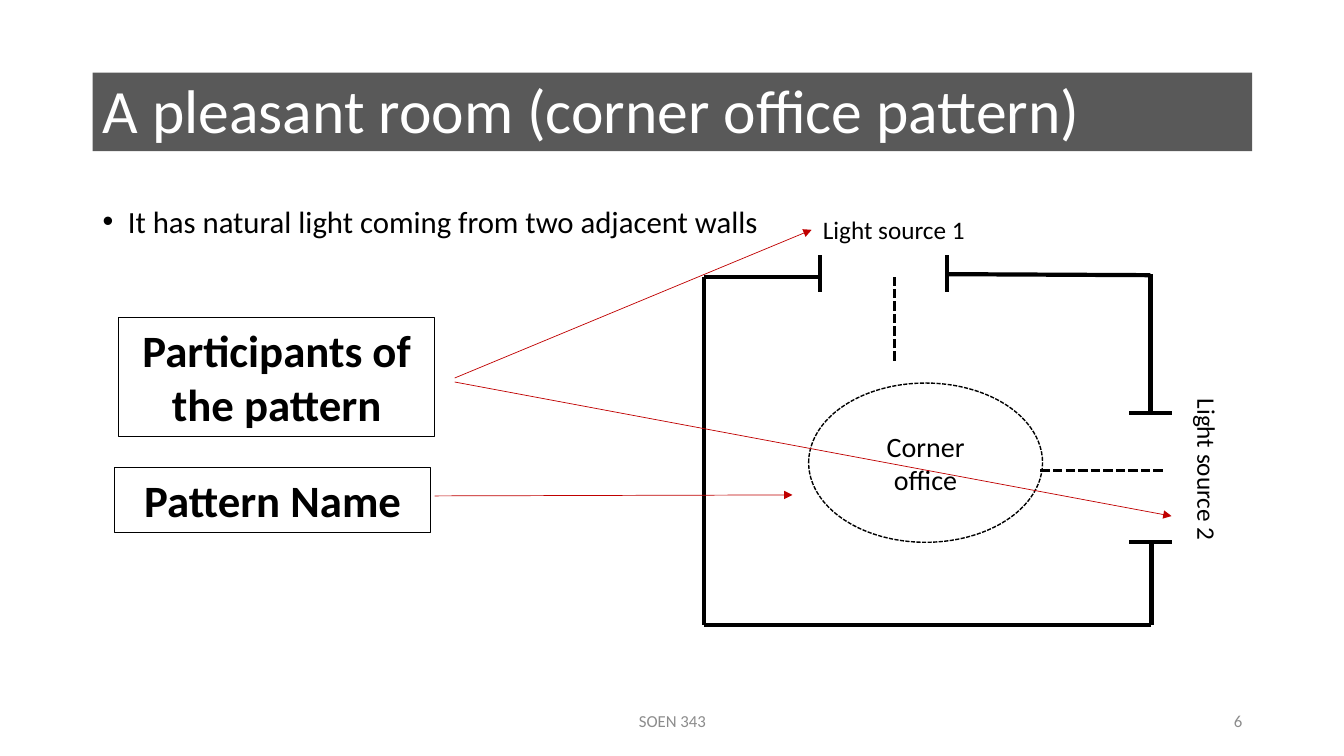
import dataclasses

import pptx
import pptx.dml.color
import pptx.enum.dml
import pptx.enum.shapes
import pptx.enum.text
import pptx.oxml
import pptx.oxml.ns
import pptx.util

SHAPE = pptx.enum.shapes.MSO_SHAPE
ALIGN = pptx.enum.text.PP_ALIGN
ANCHOR = pptx.enum.text.MSO_ANCHOR


@dataclasses.dataclass(frozen=True)
class Theme:
    font: str = "Calibri"
    ink: str = "000000"
    paper: str = "FFFFFF"
    muted: str = "8C8C8C"
    accent: str = "C00000"
    title: int = 44
    callout: int = 32
    body: int = 22
    room: int = 20
    label: int = 18
    footer: int = 12


def px(n):
    return pptx.util.Emu(n * 9144)


def rgb(value):
    return pptx.dml.color.RGBColor.from_string(value)


def add_xml(parent, tag, **attrs):
    el = pptx.oxml.parse_xml(f"<a:{tag} {pptx.oxml.ns.nsdecls('a')}/>")
    for name, value in attrs.items():
        el.set(name, str(value))
    parent.append(el)
    return el


def write(tf, text, theme, size, color=None, bold=False, align=ALIGN.LEFT,
          anchor=ANCHOR.TOP, wrap=True, spacing=None, bullet=None):
    tf.word_wrap = wrap
    tf.vertical_anchor = anchor
    p = tf.paragraphs[0]
    p.alignment = align
    if spacing:
        p.line_spacing = spacing
    if bullet:
        p.space_before = pptx.util.Pt(10)
        pPr = p._p.get_or_add_pPr()
        pPr.set("marL", str(px(25)))
        pPr.set("indent", str(px(-25)))
        add_xml(pPr, "buFont", typeface="Arial")
        add_xml(pPr, "buChar", char=bullet)
    r = p.add_run()
    r.text = text
    r.font.name = theme.font
    r.font.size = pptx.util.Pt(size)
    r.font.bold = bold
    r.font.color.rgb = rgb(color or theme.ink)


class Deck:
    def __init__(self, theme, width, height):
        self.theme = theme
        self.prs = pptx.Presentation()
        self.prs.slide_width = px(width)
        self.prs.slide_height = px(height)
        self.s = self.prs.slides.add_slide(self.prs.slide_layouts[6])

    def text(self, box, text, size, rotation=0, **fmt):
        sp = self.s.shapes.add_textbox(*map(px, box))
        sp.rotation = rotation
        write(sp.text_frame, text, self.theme, size, **fmt)

    def shape(self, kind, box, fill=None, alpha=None, line=None, dash=None):
        sp = self.s.shapes.add_shape(kind, *map(px, box))
        sp.shadow.inherit = False
        if fill:
            sp.fill.solid()
            sp.fill.fore_color.rgb = rgb(fill)
            if alpha:
                clr = sp.fill._xPr.find(".//" + pptx.oxml.ns.qn("a:srgbClr"))
                add_xml(clr, "alpha", val=alpha * 1000)
        else:
            sp.fill.background()
        if line:
            self.stroke(sp.line, self.theme.ink, line, dash)
        else:
            sp.line.fill.background()
        return sp

    def labelled(self, kind, box, text, size, line, dash=None, **fmt):
        sp = self.shape(kind, box, line=line, dash=dash)
        write(sp.text_frame, text, self.theme, size, align=ALIGN.CENTER, **fmt)

    def stroke(self, line, color, width, dash=None):
        line.color.rgb = rgb(color)
        line.width = pptx.util.Pt(width)
        if dash:
            line.dash_style = dash

    def line(self, ends, color, width, dash=None, arrow=False):
        cx = self.s.shapes.add_connector(
            pptx.enum.shapes.MSO_CONNECTOR.STRAIGHT, *map(px, ends))
        self.stroke(cx.line, color, width, dash)
        if arrow:
            add_xml(cx.line._get_or_add_ln(), "tailEnd", type="triangle")
        add_xml(cx._element.spPr, "effectLst")


def main():
    theme = Theme()
    deck = Deck(theme, 1333, 750)
    dash = pptx.enum.dml.MSO_LINE.SQUARE_DOT

    deck.shape(SHAPE.RECTANGLE, (92, 72, 1150, 78), fill=theme.ink, alpha=65)
    deck.text((92, 40, 1150, 145), "A pleasant room (corner office pattern)",
              theme.title, color=theme.paper, anchor=ANCHOR.MIDDLE, spacing=0.9)
    deck.text((92, 200, 1150, 476),
              "It has natural light coming from two adjacent walls",
              theme.body, spacing=0.9, bullet="•")

    left, right, top, bottom = 698, 1142, 275, 620
    walls = [
        (left, bottom, right, bottom),
        (left, top, left, bottom),
        (left, top, 813, top),
        (939, 272, 1141, 273),
        (1141, 272, 1141, 408),
        (right, 538, right, bottom),
    ]
    window_jambs = [(x, 253, x, 290) for x in (813, 939)]
    window_jambs += [(1120, y, 1162, y) for y in (410, 538)]
    for ends in walls + window_jambs:
        deck.line(ends, theme.ink, 3)
    for light_ray in ((887, 358, 887, 275), (1032, 467, 1156, 467)):
        deck.line(light_ray, theme.ink, 2.25, dash=dash)

    deck.text((805, 208, 163, 40), "Light source 1", theme.label,
              align=ALIGN.CENTER, wrap=False)
    deck.text((1116, 446, 163, 40), "Light source 2", theme.label,
              rotation=90, align=ALIGN.CENTER)
    deck.labelled(SHAPE.OVAL, (802, 380, 232, 158), "Corner office",
                  theme.room, 1, dash=dash, anchor=ANCHOR.MIDDLE)

    for box, text in (((118, 315, 313, 118), "Participants of the pattern"),
                      ((114, 464, 313, 64), "Pattern Name")):
        deck.labelled(SHAPE.RECTANGLE, box, text, theme.callout, 0.75, bold=True)
    for ends in ((451, 375, 805, 228), (451, 379, 1162, 512),
                 (431, 492, 786, 491)):
        deck.line(ends, theme.accent, 0.5, arrow=True)

    for box, text, align in (((442, 695, 450, 40), "SOEN 343", ALIGN.CENTER),
                             ((942, 695, 300, 40), "6", ALIGN.RIGHT)):
        deck.text(box, text, theme.footer, color=theme.muted, align=align,
                  anchor=ANCHOR.MIDDLE)

    deck.prs.save("out.pptx")


if __name__ == "__main__":
    main()
